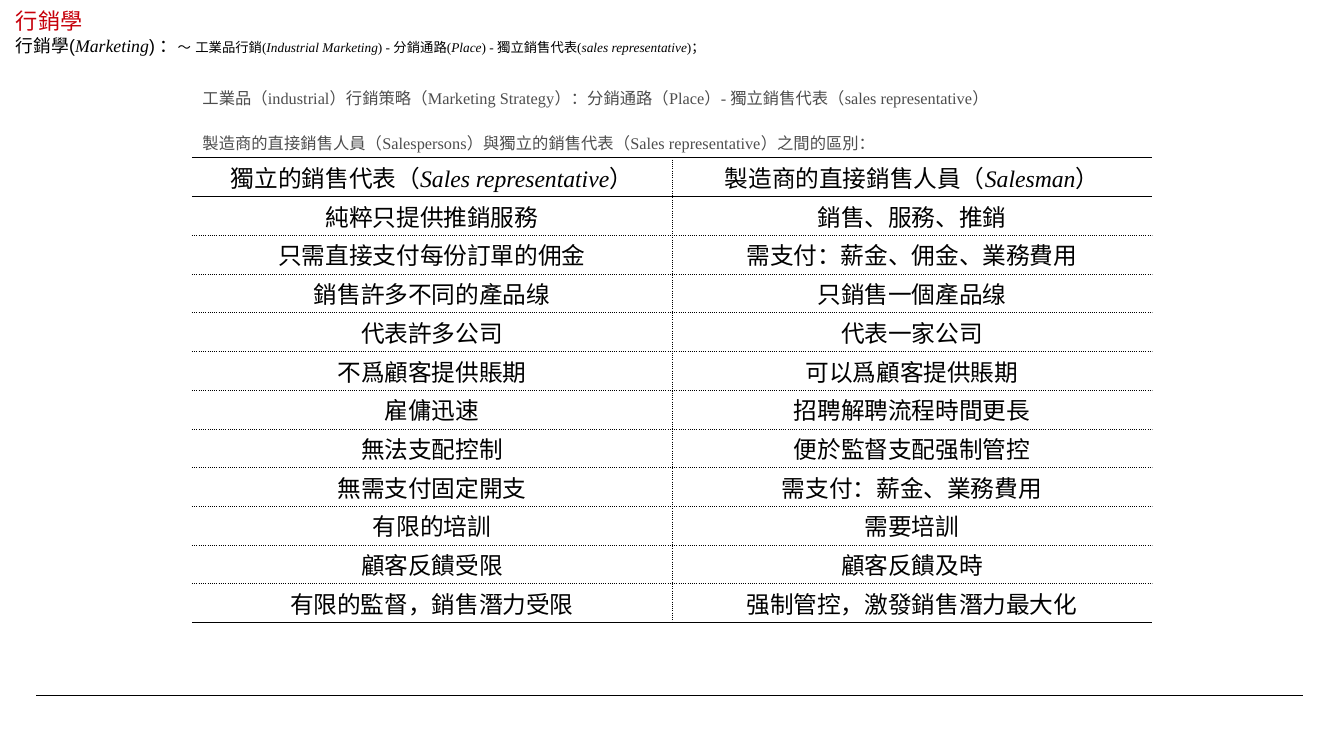
from lxml.etree import SubElement
from pptx import Presentation
from pptx.dml.color import RGBColor
from pptx.enum.text import MSO_ANCHOR, PP_ALIGN
from pptx.oxml.ns import qn
from pptx.util import Inches, Pt

SANS, SERIF, CJK = "Arial", "Times New Roman", "Noto Sans CJK SC"
BLACK, RED, GREY = "000000", "C7000B", "4D4D4D"
SOLID, DOTTED = (0.75, "solid"), (0.25, "sysDot")

TOPIC = [
    ("行銷學(", 12, SANS, False),
    ("Marketing", 12, SERIF, True),
    (") ：", 12, SANS, False),
    ("～", 9, SANS, False),
    (" ", 13, SANS, False),
    ("工業品行銷(", 9, SERIF, False),
    ("Industrial Marketing", 9, SERIF, True),
    (") - 分銷通路(", 9, SERIF, False),
    ("Place", 9, SERIF, True),
    (") - 獨立銷售代表(", 9, SERIF, False),
    ("sales representative", 9, SERIF, True),
    (")；", 9, SERIF, False),
]
INTRO = [
    "工業品（industrial）行銷策略（Marketing Strategy）：分銷通路（Place）- 獨立銷售代表（sales representative）",
    "製造商的直接銷售人員（Salespersons）與獨立的銷售代表（Sales representative）之間的區別：",
]
HEADINGS = [
    ("獨立的銷售代表（", "Sales representative", "）"),
    ("製造商的直接銷售人員（", "Salesman", "）"),
]
COMPARISON = [
    ("純粹只提供推銷服務", "銷售、服務、推銷"),
    ("只需直接支付每份訂單的佣金", "需支付：薪金、佣金、業務費用"),
    ("銷售許多不同的產品缐", "只銷售一個產品缐"),
    ("代表許多公司", "代表一家公司"),
    ("不爲顧客提供賬期", "可以爲顧客提供賬期"),
    ("雇傭迅速", "招聘解聘流程時間更長"),
    ("無法支配控制", "便於監督支配强制管控"),
    ("無需支付固定開支", "需支付：薪金、業務費用"),
    ("有限的培訓", "需要培訓"),
    ("顧客反饋受限", "顧客反饋及時"),
    ("有限的監督，銷售潛力受限", "强制管控，激發銷售潛力最大化"),
]


def rgb(color):
    return RGBColor.from_string(color)


def add_run(p, text):
    """Add a run whose Chinese characters use the CJK font."""
    r = p.add_run()
    r.text = text
    SubElement(r._r.get_or_add_rPr(), qn("a:ea"), typeface=CJK)
    return r


def style_paragraph(p, color, size=None, font=None):
    p.font.color.rgb = rgb(color)
    if size:
        p.font.size = Pt(size)
    if font:
        p.font.name = font


def add_text_box(s, x, y, w, h):
    tf = s.shapes.add_textbox(Inches(x), Inches(y), Inches(w), Inches(h)).text_frame
    tf.word_wrap = True
    return tf


def add_header(s, x, y, w):
    tf = add_text_box(s, x, y, w, 0.24)
    tf.vertical_anchor = MSO_ANCHOR.MIDDLE
    p = tf.paragraphs[0]
    add_run(p, "行銷學")
    style_paragraph(p, RED, 15, SANS)

    p = add_text_box(s, x, y + 0.19, w, 0.32).paragraphs[0]
    for text, size, font, italic in TOPIC:
        r = add_run(p, text)
        r.font.size, r.font.name, r.font.italic = Pt(size), font, italic
    style_paragraph(p, BLACK)


def add_intro(s, x, y, w, pitch):
    for i, text in enumerate(INTRO):
        p = add_text_box(s, x, y + i * pitch, w, 0.34).paragraphs[0]
        p.line_spacing = 1.5
        add_run(p, text)
        style_paragraph(p, GREY, 11, SERIF)


def set_border(cell, side, kind):
    """Draw one cell edge; kind is (width, dash) or None for no line."""
    tc_pr = cell._tc.get_or_add_tcPr()
    if kind is None:
        SubElement(SubElement(tc_pr, qn("a:ln" + side), w="0"), qn("a:noFill"))
        return
    width, dash = kind
    ln = SubElement(tc_pr, qn("a:ln" + side), w=str(int(Pt(width))))
    SubElement(SubElement(ln, qn("a:solidFill")), qn("a:srgbClr"), val=BLACK)
    SubElement(ln, qn("a:prstDash"), val=dash)


def fill_cell(cell, parts):
    """Write the parts centred, with every second part in italic serif."""
    cell.margin_left = cell.margin_right = Inches(0.07)
    cell.margin_top = cell.margin_bottom = 0
    cell.vertical_anchor = MSO_ANCHOR.MIDDLE
    p = cell.text_frame.paragraphs[0]
    p.alignment = PP_ALIGN.CENTER
    for i, text in enumerate(parts):
        r = add_run(p, text)
        if i % 2:
            r.font.name, r.font.italic = SERIF, True
    style_paragraph(p, BLACK, 16, CJK)


def add_comparison(s, x, y, w, h):
    rows = [HEADINGS] + [[(text,) for text in row] for row in COMPARISON]
    last = len(rows) - 1
    table = s.shapes.add_table(len(rows), 2, Inches(x), Inches(y), Inches(w), Inches(h)).table
    table.first_row = table.horz_banding = False
    for i, row in enumerate(rows):
        for j, parts in enumerate(row):
            cell = table.cell(i, j)
            fill_cell(cell, parts)
            set_border(cell, "L", DOTTED if j == 1 else None)
            set_border(cell, "R", DOTTED if j == 0 else None)
            set_border(cell, "T", SOLID if i <= 1 else DOTTED)
            set_border(cell, "B", SOLID if i in (0, last) else DOTTED)
            cell.fill.background()


def add_footer_rule(s, x, y, w):
    line = s.shapes.add_connector(1, Inches(x), Inches(y), Inches(x + w), Inches(y))
    line.line.color.rgb = rgb(BLACK)
    line.line.width = Pt(0.5)
    SubElement(line._element.spPr, qn("a:effectLst"))


def main():
    prs = Presentation()
    prs.slide_width, prs.slide_height = Inches(12.6), Inches(7.09)
    s = prs.slides.add_slide(prs.slide_layouts[6])
    add_footer_rule(s, 0.34, 6.52, 11.88)
    add_header(s, 0.05, 0.07, 10.4)
    add_intro(s, 1.8, 0.69, 9, 0.42)
    add_comparison(s, 1.8, 1.48, 9, 4.36)
    prs.save("out.pptx")


if __name__ == "__main__":
    main()
